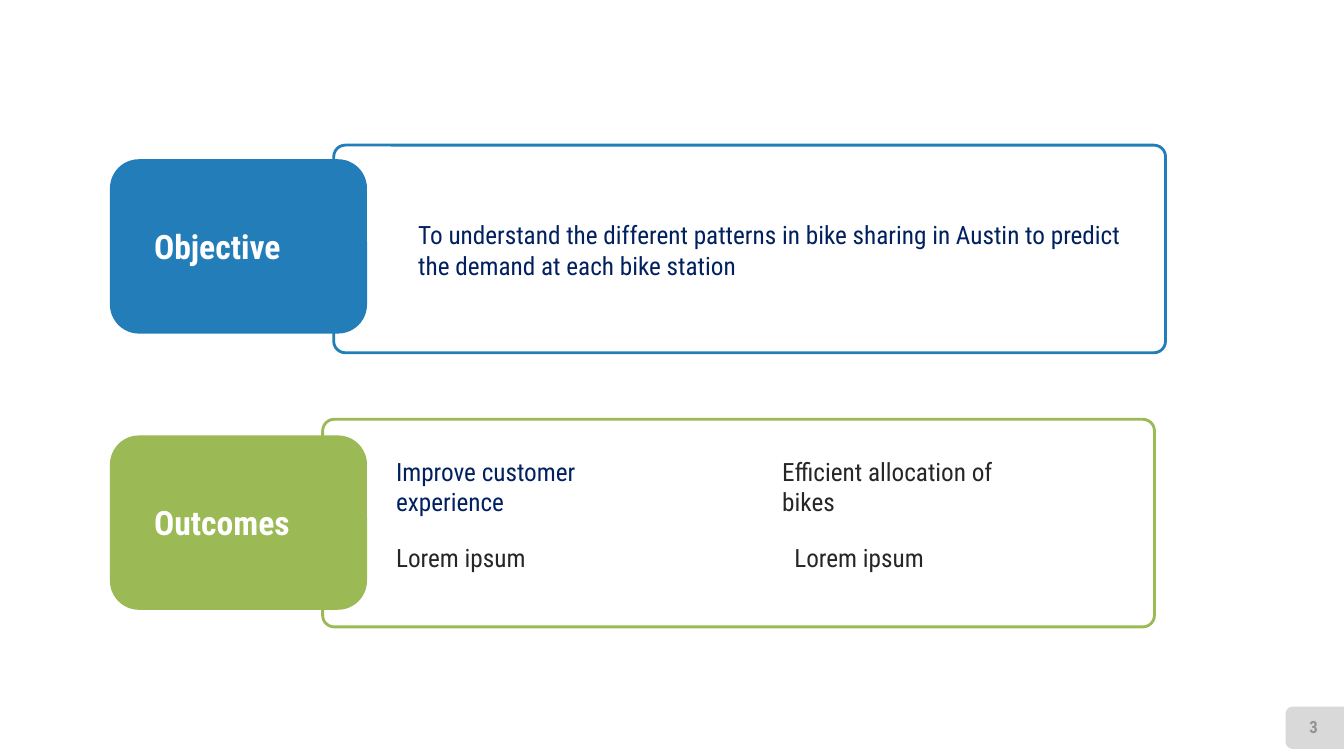
from pptx import Presentation
from pptx.dml.color import RGBColor
from pptx.enum.shapes import MSO_SHAPE
from pptx.enum.text import MSO_ANCHOR, PP_ALIGN
from pptx.util import Inches, Pt

BLUE = RGBColor(0x23, 0x7D, 0xB9)
GREEN = RGBColor(0x9B, 0xB9, 0x55)
NAVY = RGBColor(0x00, 0x20, 0x60)
DARK = RGBColor(0x26, 0x26, 0x26)
WHITE = RGBColor(0xFF, 0xFF, 0xFF)
TAB_GRAY = RGBColor(0xD9, 0xD9, 0xD9)
NUMBER_GRAY = RGBColor(0x92, 0x92, 0x92)
FONT = "Roboto Condensed"

FRAME_SIZE = (8.25, 2.06)
BADGE_SIZE = (2.55, 1.73)


def add_text(slide, text, box, size=18, color=DARK, bold=False,
             align=PP_ALIGN.LEFT, anchor=MSO_ANCHOR.TOP):
    text_box = slide.shapes.add_textbox(*map(Inches, box))
    frame = text_box.text_frame
    frame.word_wrap = True
    frame.vertical_anchor = anchor
    paragraph = frame.paragraphs[0]
    paragraph.alignment = align
    run = paragraph.add_run()
    run.text = text
    run.font.name = FONT
    run.font.size = Pt(size)
    run.font.bold = bold
    run.font.color.rgb = color


def add_box(slide, preset, box, fill=None, line=None):
    shape = slide.shapes.add_shape(preset, *map(Inches, box))
    shape.shadow.inherit = False
    if fill is None:
        shape.fill.background()
    else:
        shape.fill.solid()
        shape.fill.fore_color.rgb = fill
    if line is None:
        shape.line.fill.background()
    else:
        shape.line.color.rgb = line
        shape.line.width = Pt(2)
    return shape


def add_panel(slide, label, color, frame_position, badge_position, texts):
    """Outlined frame with a badge; texts are placed relative to the frame."""
    left, top = frame_position
    frame = add_box(slide, MSO_SHAPE.ROUNDED_RECTANGLE,
                    (left, top, *FRAME_SIZE), line=color)
    frame.adjustments[0] = 0.056

    badge_left, badge_top = badge_position
    add_box(slide, MSO_SHAPE.ROUNDED_RECTANGLE,
            (badge_left, badge_top, *BADGE_SIZE), fill=color)
    add_text(slide, label, (badge_left + 0.34, badge_top + 0.61, 1.98, 0.5),
             size=24, color=WHITE, bold=True)

    for text, text_color, (x, y, width, height) in texts:
        add_text(slide, text, (left + x, top + y, width, height),
                 color=text_color)


def add_page_number(slide, number, box):
    """Tab on the slide edge, turned so that its rounded side faces left."""
    left, top, width, height = box
    turn = (width - height) / 2
    tab = add_box(slide, MSO_SHAPE.ROUND_2_SAME_RECTANGLE,
                  (left + turn, top - turn, height, width), fill=TAB_GRAY)
    tab.rotation = 270
    add_text(slide, number, (left, top, 0.56, 0.4), size=12,
             color=NUMBER_GRAY, bold=True, align=PP_ALIGN.CENTER,
             anchor=MSO_ANCHOR.MIDDLE)


presentation = Presentation()
presentation.slide_width = Inches(13.33)
presentation.slide_height = Inches(7.5)
slide = presentation.slides.add_slide(presentation.slide_layouts[6])

# Page number
add_page_number(slide, "3", (12.75, 7.01, 0.59, 0.42))

# Objective
add_panel(slide, "Objective", BLUE, (3.31, 1.44), (1.09, 1.58), [
    ("To understand the different patterns in bike sharing in Austin "
     "to predict the demand at each bike station",
     NAVY, (0.74, 0.69, 7.2, 1.01)),
])

# Outcomes
add_panel(slide, "Outcomes", GREEN, (3.2, 4.16), (1.09, 4.32), [
    ("Improve customer experience", NAVY, (0.63, 0.32, 2.42, 0.71)),
    ("Efficient allocation of bikes", DARK, (4.46, 0.32, 2.42, 0.71)),
    ("Lorem ipsum", DARK, (0.63, 1.17, 2.42, 0.4)),
    ("Lorem ipsum", DARK, (4.58, 1.17, 2.42, 0.4)),
])

presentation.save("out.pptx")
